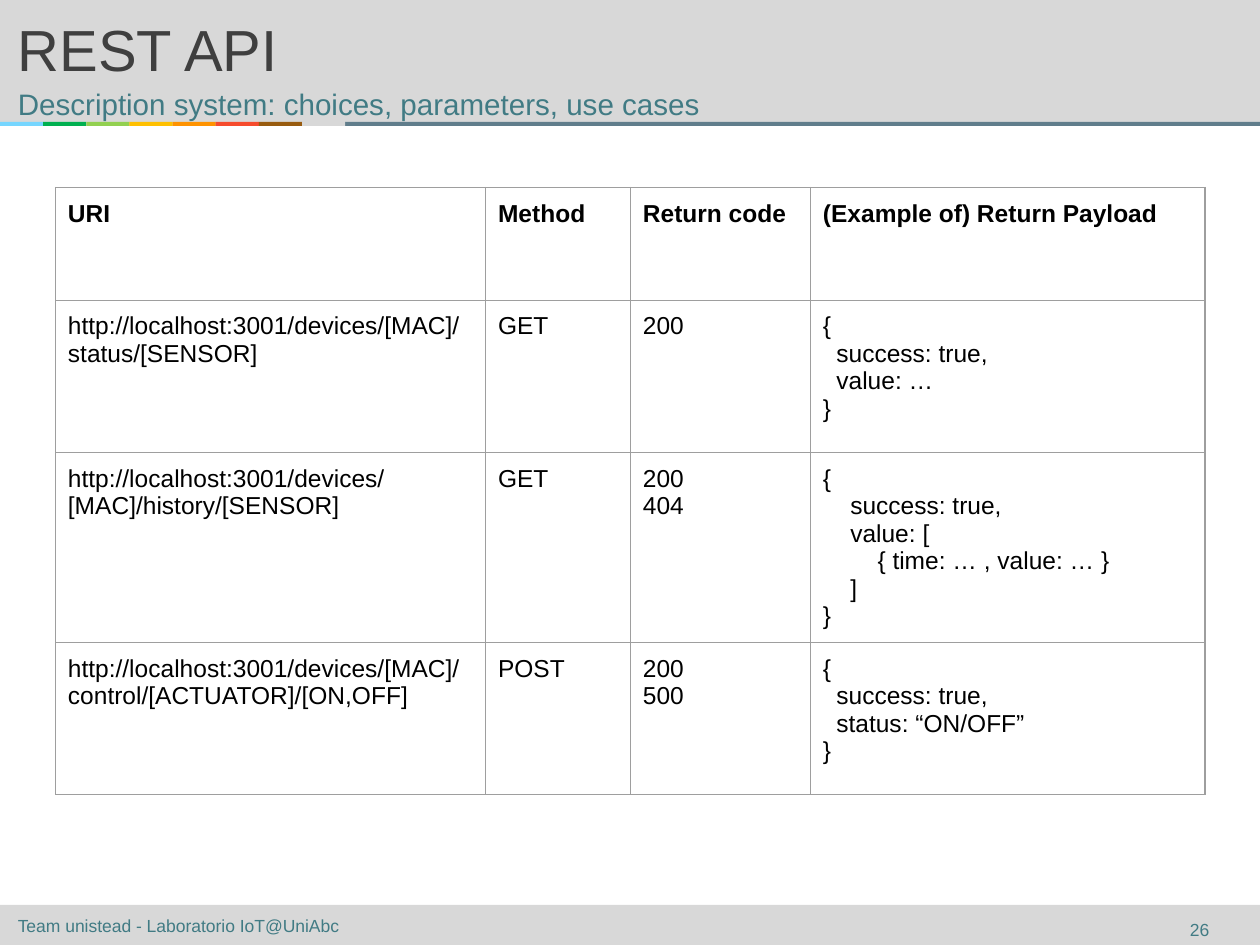
from dataclasses import dataclass

import pptx
import pptx.dml.color
import pptx.enum.shapes
import pptx.enum.text
import pptx.oxml
import pptx.oxml.ns
import pptx.util
from pptx.util import Cm, Pt

ANCHOR = pptx.enum.text.MSO_ANCHOR
ALIGN = pptx.enum.text.PP_ALIGN


@dataclass(frozen=True)
class Theme:
    font: str = "Arial"
    band: str = "D8D8D8"
    rule: str = "607D8B"
    title: str = "3F3F3F"
    accent: str = "417B84"
    ink: str = "000000"
    border: str = "9E9E9E"
    title_size: float = 33.1
    subtitle_size: float = 16.9
    table_size: float = 14
    footer_size: float = 10


@dataclass(frozen=True)
class Bar:
    left: float
    top: float
    width: float
    height: float
    color: str
    opacity: int = 100


@dataclass(frozen=True)
class Label:
    text: str
    left: float
    top: float
    width: float
    height: float
    size: float
    color: str
    anchor: ANCHOR = ANCHOR.MIDDLE
    align: ALIGN = ALIGN.LEFT


@dataclass(frozen=True)
class Line:
    text: str
    level: int = 0


@dataclass(frozen=True)
class Endpoint:
    uri: str
    method: str
    codes: tuple[str, ...]
    payload: tuple[Line, ...]
    step: float  # payload indent per level, in cm


THEME = Theme()
WIDTH, HEIGHT = 25.4, 19.05
STRIPE = 0.87
STRIPES = (("76D6FF", 100), ("00B050", 100), ("92D050", 100), ("FFC000", 100),
           ("FF9300", 100), ("FF2600", 79), ("945200", 93), (THEME.band, 100))
RULE_TOP, RULE_HEIGHT = 2.46, 0.08

HEADINGS = ("URI", "Method", "Return code", "(Example of) Return Payload")
COLUMNS = (8.67, 2.92, 3.63, 7.95)
ROWS = (2.27, 3.07, 3.07, 3.07)
BASE = "http://localhost:3001/devices/[MAC]/"
ENDPOINTS = (
    Endpoint(BASE + "status/[SENSOR]", "GET", ("200",),
             (Line("{"), Line("success: true,", 1), Line("value: …", 1), Line("}")), 0.27),
    Endpoint(BASE + "history/[SENSOR]", "GET", ("200", "404"),
             (Line("{"), Line("success: true,", 1), Line("value: [", 1),
              Line("{ time: … , value: … }", 2), Line("]", 1), Line("}")), 0.55),
    Endpoint(BASE + "control/[ACTUATOR]/[ON,OFF]", "POST", ("200", "500"),
             (Line("{"), Line("success: true,", 1), Line("status: “ON/OFF”", 1), Line("}")), 0.27),
)


def rgb(color: str) -> pptx.dml.color.RGBColor:
    return pptx.dml.color.RGBColor.from_string(color)


def add_span(para, text: str, size: float, color: str, bold: bool = False) -> None:
    span = para.add_run()
    span.text = text
    span.font.name = THEME.font
    span.font.size = Pt(size)
    span.font.bold = bold
    span.font.color.rgb = rgb(color)


def add_bar(page, bar: Bar) -> None:
    shape = page.shapes.add_shape(pptx.enum.shapes.MSO_SHAPE.RECTANGLE, Cm(bar.left),
                                  Cm(bar.top), Cm(bar.width), Cm(bar.height))
    shape.shadow.inherit = False
    shape.line.fill.background()
    shape.fill.solid()
    shape.fill.fore_color.rgb = rgb(bar.color)
    if bar.opacity < 100:
        color = shape.fill._xPr.find(".//" + pptx.oxml.ns.qn("a:srgbClr"))
        color.append(pptx.oxml.parse_xml(
            f'<a:alpha {pptx.oxml.ns.nsdecls("a")} val="{bar.opacity * 1000}"/>'))


def fill_label(box, label: Label) -> None:
    box.left, box.top = Cm(label.left), Cm(label.top)
    box.width, box.height = Cm(label.width), Cm(label.height)
    frame = box.text_frame
    frame.word_wrap = True
    frame.auto_size = pptx.enum.text.MSO_AUTO_SIZE.NONE
    frame.vertical_anchor = label.anchor
    frame.margin_left = frame.margin_right = Cm(0.36)
    frame.margin_top = frame.margin_bottom = Cm(0.18)
    para = frame.paragraphs[0]
    para.alignment = label.align
    add_span(para, label.text, label.size, label.color)


def fill_cell(cell, lines: tuple[Line, ...], bold: bool = False, step: float = 0) -> None:
    props = cell._tc.get_or_add_tcPr()
    for side in "LRTB":
        props.append(pptx.oxml.parse_xml(
            f'<a:ln{side} {pptx.oxml.ns.nsdecls("a")} w="{Pt(0.75)}"><a:solidFill>'
            f'<a:srgbClr val="{THEME.border}"/></a:solidFill></a:ln{side}>'))
    cell.fill.background()
    cell.vertical_anchor = ANCHOR.TOP
    cell.margin_left = cell.margin_right = Cm(0.25)
    cell.margin_top = cell.margin_bottom = Cm(0.25)
    frame = cell.text_frame
    for index, line in enumerate(lines):
        para = frame.add_paragraph() if index else frame.paragraphs[0]
        if line.level:
            para._p.get_or_add_pPr().set("marL", str(Cm(step * line.level)))
        add_span(para, line.text, THEME.table_size, THEME.ink, bold)


def add_endpoints(page) -> None:
    frame = page.shapes.add_table(len(ROWS), len(COLUMNS), Cm(1.12), Cm(3.78),
                                  Cm(sum(COLUMNS)), Cm(sum(ROWS)))
    table = frame.table
    table.first_row = table.horz_banding = False
    for column, width in zip(table.columns, COLUMNS):
        column.width = Cm(width)
    for row, height in zip(table.rows, ROWS):
        row.height = Cm(height)
    for column, heading in enumerate(HEADINGS):
        fill_cell(table.cell(0, column), (Line(heading),), bold=True)
    for row, endpoint in enumerate(ENDPOINTS, start=1):
        contents = ((Line(endpoint.uri),), (Line(endpoint.method),),
                    tuple(Line(code) for code in endpoint.codes), endpoint.payload)
        for column, lines in enumerate(contents):
            fill_cell(table.cell(row, column), lines, step=endpoint.step)


deck = pptx.Presentation()
deck.slide_width, deck.slide_height = Cm(WIDTH), Cm(HEIGHT)
page = deck.slides.add_slide(deck.slide_layouts[5])

# Header and footer bands
add_bar(page, Bar(0, 0, WIDTH, 2.54, THEME.band))
add_bar(page, Bar(0, 18.24, WIDTH, 0.81, THEME.band))

# Coloured rule below the header
rule_left = STRIPE * len(STRIPES)
add_bar(page, Bar(rule_left, RULE_TOP, WIDTH - rule_left, RULE_HEIGHT, THEME.rule))
for position, (color, opacity) in enumerate(STRIPES):
    add_bar(page, Bar(STRIPE * position, RULE_TOP, STRIPE, RULE_HEIGHT, color, opacity))

# Title, moved in front of the bands
title = page.shapes.title
page.shapes._spTree.append(title._element)
fill_label(title, Label("REST API", 0, 0, WIDTH, 1.85, THEME.title_size, THEME.title,
                        ANCHOR.BOTTOM))

# Subtitle, footer and page number
for label in (
    Label("Description system: choices, parameters, use cases", 0, 1.55, WIDTH, 0.91,
          THEME.subtitle_size, THEME.accent, ANCHOR.TOP),
    Label("Team unistead - Laboratorio IoT@UniAbc", 0, 18.47, 10.13, 0.36,
          THEME.footer_size, THEME.accent),
    Label("26", 22.96, 18.42, 1.78, 0.64, THEME.footer_size, THEME.accent,
          align=ALIGN.RIGHT),
):
    fill_label(page.shapes.add_textbox(0, 0, 0, 0), label)

# Table of endpoints
add_endpoints(page)

deck.save("out.pptx")
